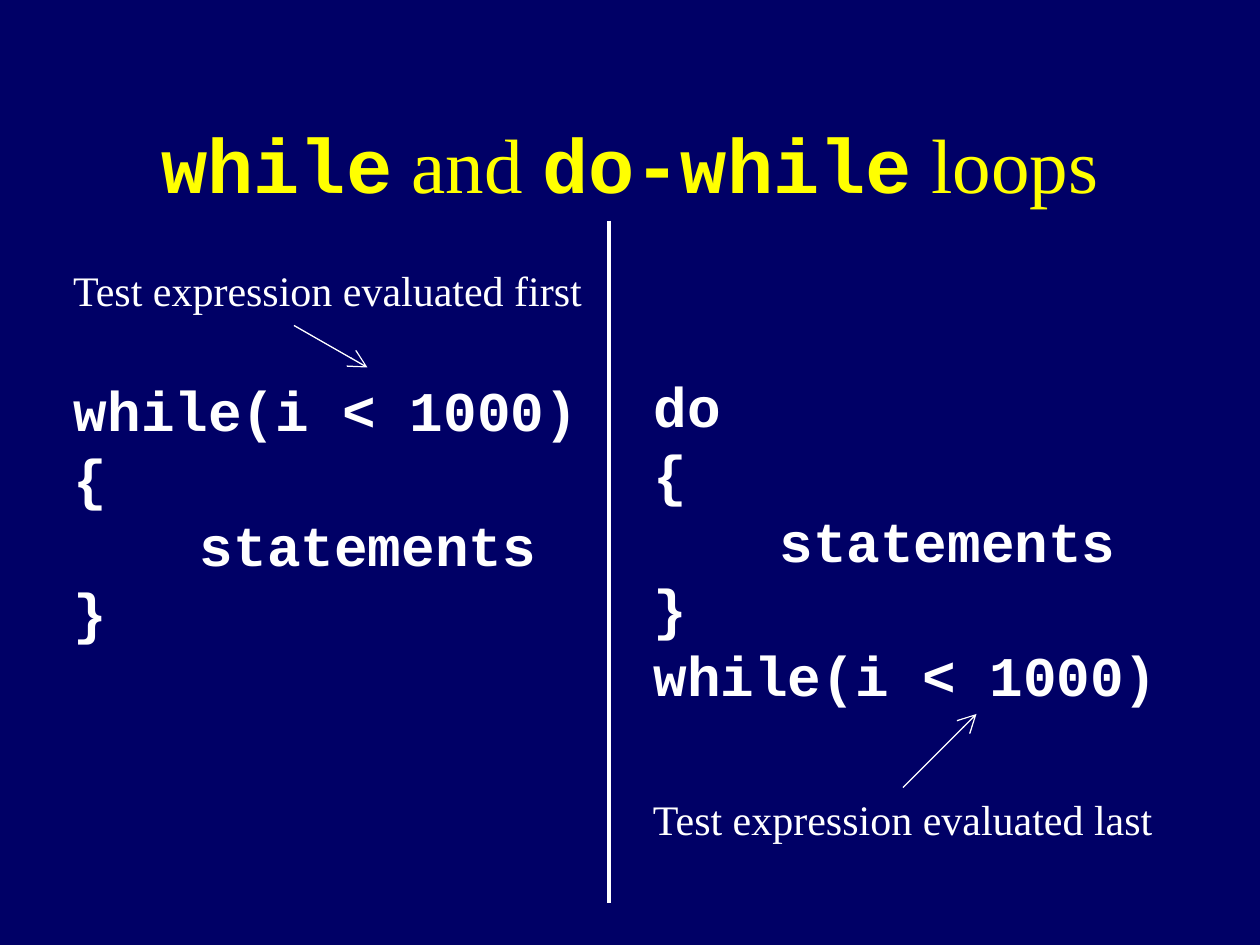
import pptx
import pptx.dml.color
import pptx.enum.shapes
import pptx.enum.text
import pptx.oxml.ns
import pptx.util
from dataclasses import dataclass
from lxml import etree

Pt = pptx.util.Pt
RGB = pptx.dml.color.RGBColor
qn = pptx.oxml.ns.qn


@dataclass(frozen=True)
class Theme:
    background: RGB = RGB(0x00, 0x00, 0x66)
    title: RGB = RGB(0xFF, 0xFF, 0x00)
    text: RGB = RGB(0xFF, 0xFF, 0xFF)
    code_font: str = "Courier New"
    prose_font: str = "Times New Roman"
    title_size: int = 44
    code_size: int = 32
    note_size: int = 24


THEME = Theme()


def add_run(p, text, size, color, code=False):
    r = p.add_run()
    r.text = text
    r.font.size = Pt(size)
    r.font.name = THEME.code_font if code else THEME.prose_font
    r.font.bold = code
    r.font.color.rgb = color


def add_box(s, x, y, w, h, wrap=True):
    tf = s.shapes.add_textbox(Pt(x), Pt(y), Pt(w), Pt(h)).text_frame
    tf.word_wrap = wrap
    return tf


def add_title(s, parts):
    tf = add_box(s, 54, 48, 612, 90)
    tf.vertical_anchor = pptx.enum.text.MSO_ANCHOR.MIDDLE
    p = tf.paragraphs[0]
    p.alignment = pptx.enum.text.PP_ALIGN.CENTER
    for text, code in parts:
        add_run(p, text, THEME.title_size, THEME.title, code)


def add_code(s, x, y, h, lines):
    tf = add_box(s, x, y, 306, h)
    for i, line in enumerate(lines):
        p = tf.add_paragraph() if i else tf.paragraphs[0]
        tabs = etree.SubElement(p._p.get_or_add_pPr(), qn("a:tabLst"))
        etree.SubElement(tabs, qn("a:tab"), pos=str(Pt(72)), algn="l")
        add_run(p, line, THEME.code_size, THEME.text, True)


def add_note(s, x, y, w, text):
    tf = add_box(s, x, y, w, 36, wrap=False)
    tf.auto_size = pptx.enum.text.MSO_AUTO_SIZE.SHAPE_TO_FIT_TEXT
    add_run(tf.paragraphs[0], text, THEME.note_size, THEME.text)


def add_line(s, x1, y1, x2, y2, width, arrow=False):
    sp = s.shapes.add_connector(
        pptx.enum.shapes.MSO_CONNECTOR.STRAIGHT, Pt(x1), Pt(y1), Pt(x2), Pt(y2)
    )
    sp.line.color.rgb = THEME.text
    sp.line.width = Pt(width)
    if arrow:
        ln = sp.line._get_or_add_ln()
        etree.SubElement(ln, qn("a:tailEnd"), type="arrow", w="lg", len="lg")
    etree.SubElement(sp._element.spPr, qn("a:effectLst"))


def main():
    prs = pptx.Presentation()
    prs.slide_width, prs.slide_height = Pt(720), Pt(540)
    s = prs.slides.add_slide(prs.slide_layouts[6])
    s.background.fill.solid()
    s.background.fill.fore_color.rgb = THEME.background

    add_title(s, [("while", True), (" and ", False), ("do-while", True), (" loops", False)])

    test = "while(i < 1000)"
    body = ["{", "\tstatements", "}"]
    add_code(s, 35.1, 211.3, 161.3, [test, *body])
    add_code(s, 366.3, 209, 199.4, ["do", *body, test])
    add_line(s, 348, 126, 348, 516, 2)

    add_note(s, 34.7, 147.6, 306.7, "Test expression evaluated first")
    add_note(s, 366, 450, 301.7, "Test expression evaluated last")
    add_line(s, 168, 186, 210, 210, 0.75, arrow=True)
    add_line(s, 516, 450, 558, 408, 0.75, arrow=True)

    prs.save("out.pptx")


if __name__ == "__main__":
    main()
